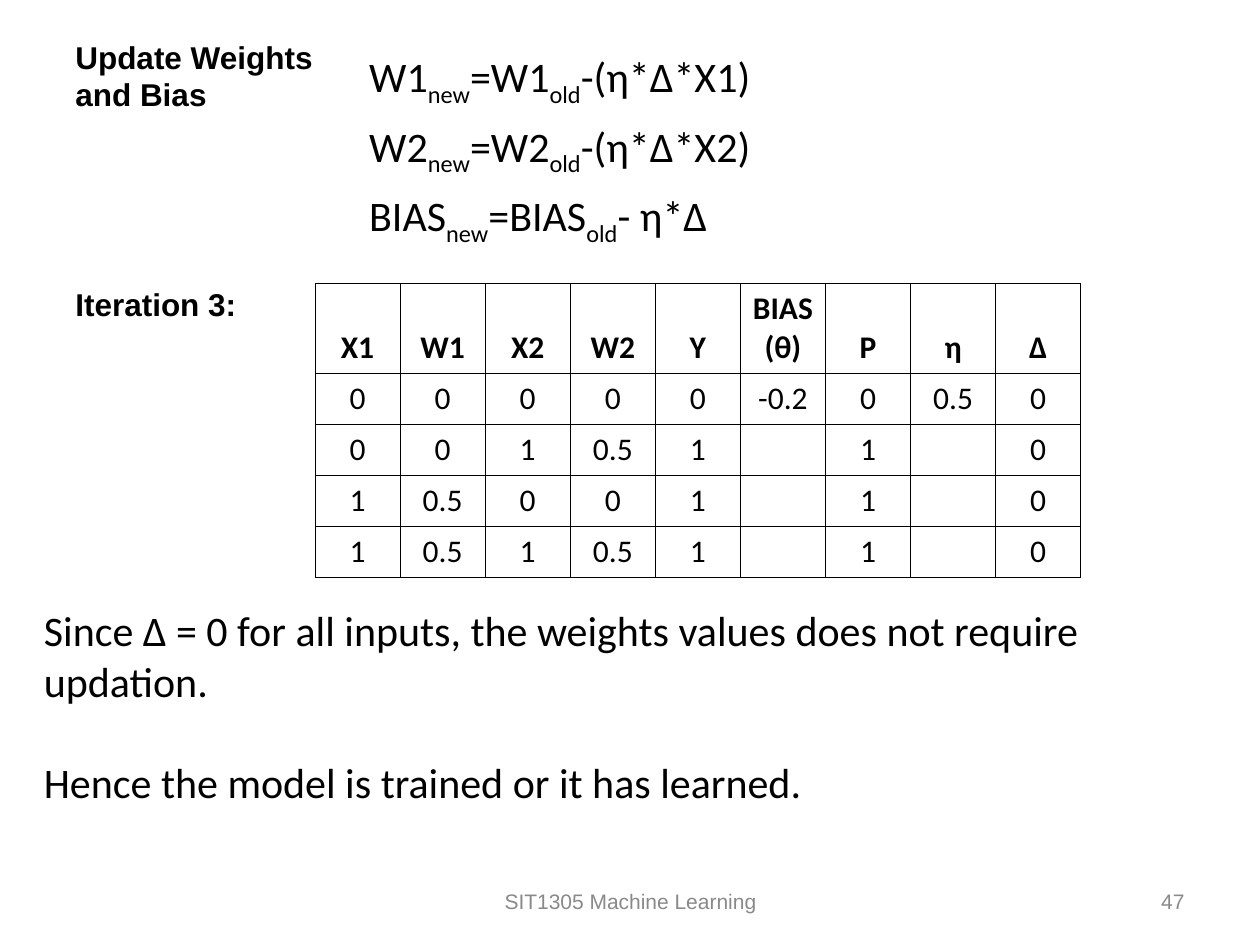
"""Build a slide with the weight update rules and the third training iteration."""
from dataclasses import dataclass

import pptx
import pptx.dml.color
import pptx.enum.text
import pptx.oxml
import pptx.oxml.ns
import pptx.slide
import pptx.table
import pptx.text.text
import pptx.util

Inches = pptx.util.Inches
Pt = pptx.util.Pt
Align = pptx.enum.text.PP_ALIGN
Anchor = pptx.enum.text.MSO_ANCHOR
Fit = pptx.enum.text.MSO_AUTO_SIZE

BLACK = pptx.dml.color.RGBColor(0x00, 0x00, 0x00)
GRAY = pptx.dml.color.RGBColor(0x89, 0x89, 0x89)
PLAIN = "{2D5ABB26-0587-4C30-8999-92F81FD0307C}"


@dataclass
class Label:
    text: str
    left: float
    top: float
    width: float
    height: float
    size: float = 18
    face: str = "Arial"
    color: pptx.dml.color.RGBColor = BLACK
    bold: bool = False
    align: Align = Align.LEFT
    anchor: Anchor = Anchor.TOP
    fit: Fit = Fit.SHAPE_TO_FIT_TEXT
    gap: float = 0


@dataclass
class Grid:
    rows: list[list[str]]
    left: float
    top: float
    width: float
    heights: list[float]
    size: float
    align: Align
    head: bool = False
    lines: bool = False


FOOT = dict(top=6.95, height=0.4, size=12, color=GRAY, anchor=Anchor.MIDDLE, fit=Fit.NONE)
FEET = [
    Label("SIT1305 Machine Learning", left=3.42, width=3.17, align=Align.CENTER, **FOOT),
    Label("47", left=7.17, width=2.33, align=Align.RIGHT, **FOOT),
]
NOTES = [
    Label("Iteration 3:", 0.5, 2.21, 1.64, 0.4, bold=True),
    Label("Update Weights and Bias", 0.5, 0.25, 2.5, 0.7, bold=True),
    Label(
        "Since Δ = 0 for all inputs, the weights values does not require updation.\n"
        "Hence the model is trained or it has learned.",
        0.25, 4.75, 9.33, 1.7, size=24, face="Calibri", gap=29.3,
    ),
]
VALUES = Grid(
    [
        ["X1", "W1", "X2", "W2", "Y", "BIAS (θ)", "P", "η", "Δ"],
        ["0", "0", "0", "0", "0", "-0.2", "0", "0.5", "0"],
        ["0", "0", "1", "0.5", "1", "", "1", "", "0"],
        ["1", "0.5", "0", "0", "1", "", "1", "", "0"],
        ["1", "0.5", "1", "0.5", "1", "", "1", "", "0"],
    ],
    2.5, 2.25, 6.08, [0.67] + [0.35] * 4, 18, Align.CENTER, head=True, lines=True,
)
RULES = Grid(
    [
        [f"{name}|new|={name}|old|{step}"]
        for name, step in [("W1", "-(η*Δ*X1)"), ("W2", "-(η*Δ*X2)"), ("BIAS", "- η*Δ")]
    ],
    2.92, 0.37, 4.17, [0.5, 0.48, 0.48], 24, Align.LEFT,
)


def style(font: pptx.text.text.Font, face: str, size: float,
          color: pptx.dml.color.RGBColor, bold: bool) -> None:
    font.name, font.size, font.bold = face, Pt(size), bold
    font.color.rgb = color


def add_label(slide: pptx.slide.Slide, label: Label) -> None:
    box = slide.shapes.add_textbox(
        Inches(label.left), Inches(label.top), Inches(label.width), Inches(label.height))
    frame = box.text_frame
    frame.text = label.text
    frame.word_wrap = True
    frame.auto_size = label.fit
    frame.vertical_anchor = label.anchor
    for index, line in enumerate(frame.paragraphs):
        line.alignment = label.align
        line.space_before = Pt(label.gap if index else 0)
        for run in line.runs:
            style(run.font, label.face, label.size, label.color, label.bold)


def add_lines(cell: pptx.table._Cell) -> None:
    props = cell._tc.get_or_add_tcPr()
    for side in "LRTB":
        props.append(pptx.oxml.parse_xml(
            f'<a:ln{side} {pptx.oxml.ns.nsdecls("a")} w="{Pt(0.23)}">'
            f'<a:solidFill><a:srgbClr val="{BLACK}"/></a:solidFill></a:ln{side}>'))


def fill_cell(cell: pptx.table._Cell, text: str, grid: Grid, bold: bool) -> None:
    cell.margin_left = cell.margin_right = Inches(0.01)
    cell.margin_top = cell.margin_bottom = Inches(0.05)
    cell.vertical_anchor = Anchor.BOTTOM
    if grid.lines:
        add_lines(cell)
    cell.fill.background()
    line = cell.text_frame.paragraphs[0]
    line.alignment = grid.align
    line.font.size = Pt(grid.size)
    for index, part in enumerate(text.split("|") if text else []):
        run = line.add_run()
        run.text = part
        style(run.font, "Calibri", grid.size, BLACK, bold)
        if index % 2:
            run.font._element.set("baseline", "-25000")


def add_grid(slide: pptx.slide.Slide, grid: Grid) -> None:
    count = len(grid.rows[0])
    frame = slide.shapes.add_table(
        len(grid.rows), count, Inches(grid.left), Inches(grid.top),
        Inches(grid.width), Inches(sum(grid.heights)))
    table = frame.table
    table.first_row = grid.head
    table.horz_banding = False
    for mark in table._tbl.iter(pptx.oxml.ns.qn("a:tableStyleId")):
        mark.text = PLAIN
    for column in table.columns:
        column.width = Inches(grid.width / count)
    for index, (row, height) in enumerate(zip(table.rows, grid.heights)):
        row.height = Inches(height)
        for cell, text in zip(row.cells, grid.rows[index]):
            fill_cell(cell, text, grid, grid.head and index == 0)


def main() -> None:
    deck = pptx.Presentation()
    deck.slide_width, deck.slide_height = Inches(10), Inches(7.5)
    slide = deck.slides.add_slide(deck.slide_layouts[6])
    for label in FEET:
        add_label(slide, label)
    for grid in (VALUES, RULES):
        add_grid(slide, grid)
    for label in NOTES:
        add_label(slide, label)
    deck.save("out.pptx")


if __name__ == "__main__":
    main()
